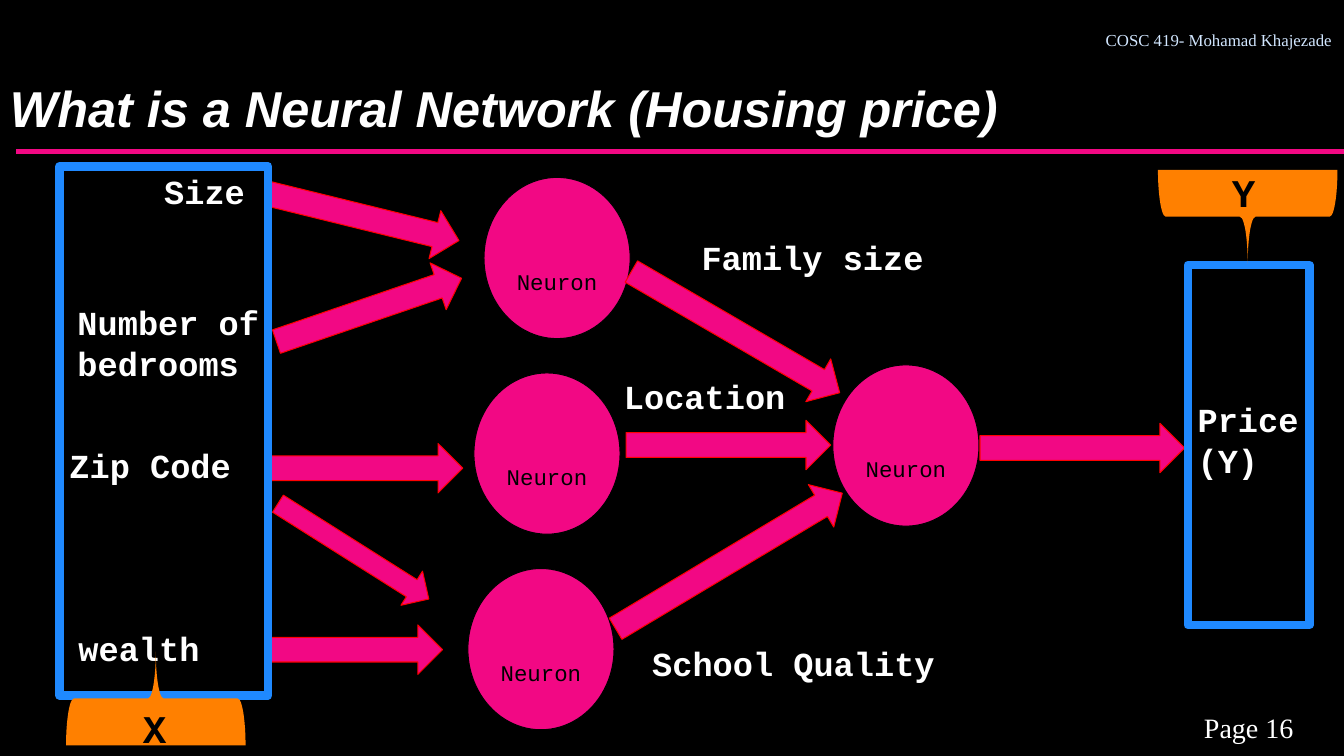
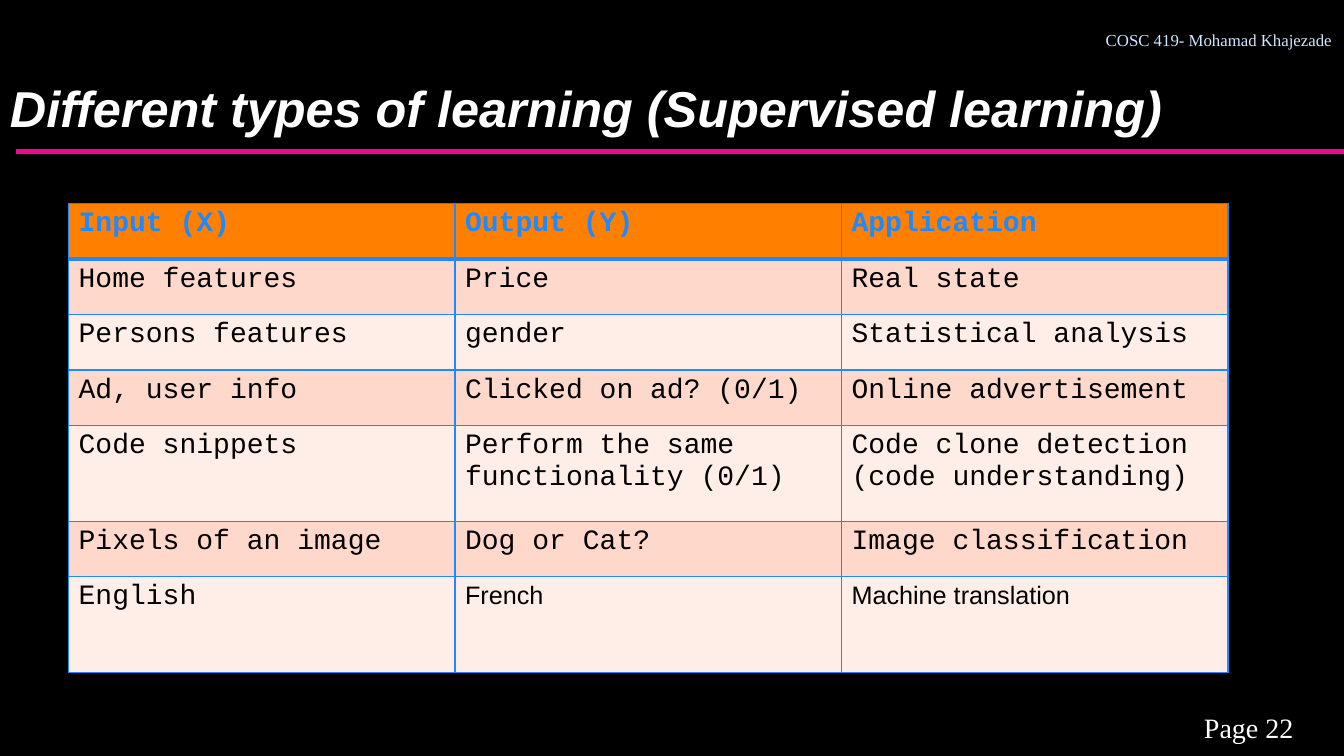
from dataclasses import dataclass

from lxml.etree import SubElement
from pptx import Presentation
from pptx.dml.color import RGBColor
from pptx.enum.shapes import MSO_CONNECTOR, MSO_SHAPE as Preset
from pptx.enum.text import MSO_ANCHOR as Anchor, PP_ALIGN as Align
from pptx.oxml.ns import qn
from pptx.util import Inches, Pt

COLORS = {
    "background": "000000",
    "pink": "F20884",
    "red": "FF0000",
    "blue": "1F89FF",
    "orange": "FF8000",
    "white": "FFFFFF",
    "black": "000000",
    "pale_blue": "D2E7FF",
    "band_dark": "FFD8CC",
    "band_light": "FFEDE7",
}
MONO, SANS, SERIF = "Courier New", "Arial", "Times New Roman"
WIDTH, HEIGHT = 13.33, 7.5


@dataclass(frozen=True)
class TextStyle:
    font: str
    size: float
    color: str
    bold: bool = False
    italic: bool = False


@dataclass(frozen=True)
class Box:
    left: float
    top: float
    width: float
    height: float

    def lengths(self) -> tuple:
        return tuple(Inches(v) for v in (self.left, self.top, self.width, self.height))


@dataclass(frozen=True)
class Label:
    text: str
    box: Box


@dataclass(frozen=True)
class Arrow:
    box: Box
    angle: float = 0


@dataclass(frozen=True)
class Brace:
    box: Box
    angle: float
    mark: Label


TITLE = TextStyle(SANS, 36, "white", bold=True, italic=True)
PAGE = TextStyle(SERIF, 20, "white")
COURSE = TextStyle(SERIF, 12, "pale_blue")
FEATURE = TextStyle(MONO, 24, "white", bold=True)
MARK = TextStyle(MONO, 28, "black", bold=True)
NEURON = TextStyle(MONO, 16, "black")
TABLE_HEAD = TextStyle(MONO, 20, "blue", bold=True)
TABLE_BODY = TextStyle(MONO, 20, "black")
TABLE_PLAIN = TextStyle(SANS, 18, "black")

LABELS = [
    Label("Size", Box(1.53, 1.65, 1.18, 0.5)),
    Label("Number of bedrooms", Box(0.67, 2.95, 2.49, 0.91)),
    Label("Zip Code", Box(0.59, 4.36, 2.49, 0.5)),
    Label("wealth", Box(0.68, 6.18, 2.49, 0.5)),
    Label("Family size", Box(6.86, 2.3, 2.82, 0.5)),
    Label("Location", Box(6.09, 3.68, 2.82, 0.5)),
    Label("School Quality", Box(6.37, 6.33, 3.32, 0.5)),
    Label("Price (Y)", Box(11.78, 3.91, 1.43, 0.91)),
]
NEURON_CORNERS = [(4.8, 1.76), (4.7, 3.7), (4.64, 5.64), (8.26, 3.62)]
ARROWS = [
    Arrow(Box(2.64, 1.91, 1.94, 0.49), 13.8),
    Arrow(Box(2.69, 2.83, 1.94, 0.49), 341.1),
    Arrow(Box(2.65, 4.4, 1.94, 0.49)),
    Arrow(Box(2.62, 5.27, 1.77, 0.4), 32.3),
    Arrow(Box(2.65, 6.2, 1.74, 0.49)),
    Arrow(Box(6.1, 3.05, 2.39, 0.49), 30.2),
    Arrow(Box(6.21, 4.17, 2.03, 0.49)),
    Arrow(Box(5.92, 5.32, 2.62, 0.49), 329.1),
    Arrow(Box(9.72, 4.2, 2.03, 0.49)),
]
FRAMES = [Box(0.59, 1.65, 2.07, 5.25), Box(11.78, 2.63, 1.21, 3.57)]
BRACES = [
    Brace(Box(11.91, 1.26, 0.93, 1.78), 270, Label("Y", Box(12.12, 1.62, 0.87, 0.57))),
    Brace(Box(1.08, 6.04, 0.93, 1.78), 90, Label("X", Box(1.32, 6.94, 0.87, 0.57))),
]
LEARNING_ROWS = [
    ("Input (X)", "Output (Y)", "Application"),
    ("Home features", "Price", "Real state"),
    ("Persons features", "gender", "Statistical analysis"),
    ("Ad, user info", "Clicked on ad? (0/1)", "Online advertisement"),
    ("Code snippets", "Perform the same functionality (0/1)",
     "Code clone detection (code understanding)"),
    ("Pixels of an image", "Dog or Cat?", "Image classification"),
    ("English", "French", "Machine translation"),
]
ROW_HEIGHTS = [0.55, 0.55, 0.55, 0.55, 0.95, 0.55, 0.95]


def rgb(name: str) -> RGBColor:
    return RGBColor.from_string(COLORS[name])


def write(frame, text: str, style: TextStyle, align=Align.LEFT):
    paragraph = frame.paragraphs[0]
    paragraph.text = text
    paragraph.alignment = align
    font = paragraph.font
    font.name, font.size = style.font, Pt(style.size)
    font.bold, font.italic = style.bold, style.italic
    font.color.rgb = rgb(style.color)
    return paragraph


def add_text(slide, label: Label, style: TextStyle, align=Align.LEFT, anchor=Anchor.TOP):
    frame = slide.shapes.add_textbox(*label.box.lengths()).text_frame
    frame.word_wrap = True
    frame.vertical_anchor = anchor
    return write(frame, label.text, style, align)


def add_preset(slide, preset, box: Box, fill: str = "", line: str = "",
               weight: float = 0.75, angle: float = 0):
    shape = slide.shapes.add_shape(preset, *box.lengths())
    shape.shadow.inherit = False
    shape.rotation = angle
    if fill:
        shape.fill.solid()
        shape.fill.fore_color.rgb = rgb(fill)
    else:
        shape.fill.background()
    if line:
        shape.line.color.rgb = rgb(line)
        shape.line.width = Pt(weight)
    else:
        shape.line.fill.background()
    return shape


def add_neuron(slide, left: float, top: float) -> None:
    neuron = add_preset(slide, Preset.OVAL, Box(left, top, 1.45, 1.6), "pink", "black")
    frame = neuron.text_frame
    frame.margin_left = frame.margin_right = frame.margin_bottom = 0
    frame.margin_top = Inches(0.46)
    frame.vertical_anchor = Anchor.MIDDLE
    write(frame, "Neuron", NEURON, Align.CENTER)


def add_brace(slide, brace: Brace) -> None:
    add_preset(slide, Preset.LEFT_BRACE, brace.box, "orange", angle=brace.angle)
    add_text(slide, brace.mark, MARK)


def new_slide(deck, title: str, page: int):
    slide = deck.slides.add_slide(deck.slide_layouts[6])
    slide.background.fill.solid()
    slide.background.fill.fore_color.rgb = rgb("background")
    rule = slide.shapes.add_connector(
        MSO_CONNECTOR.STRAIGHT, Inches(0.16), Inches(1.5), Inches(WIDTH), Inches(1.5))
    rule.line.color.rgb = rgb("pink")
    rule.line.width = Pt(3.75)
    SubElement(rule._element.spPr, qn("a:effectLst"))
    add_text(slide, Label(f"Page {page}", Box(11.44, 7, 1.89, 0.43)), PAGE,
             Align.CENTER, Anchor.MIDDLE)
    add_text(slide, Label("COSC 419- Mohamad Khajezade", Box(9.85, 0.2, 3.46, 0.4)),
             COURSE, Align.RIGHT, Anchor.MIDDLE)
    heading = add_text(slide, Label(title, Box(0, 0, WIDTH, 1.42)), TITLE,
                       anchor=Anchor.BOTTOM)
    heading.line_spacing = 0.89
    return slide


def set_borders(cell, top: float, bottom: float) -> None:
    properties = cell._tc.get_or_add_tcPr()
    for side, weight in (("L", 1), ("R", 1), ("T", top), ("B", bottom)):
        border = SubElement(properties, qn(f"a:ln{side}"), w=str(Pt(weight)))
        fill = SubElement(border, qn("a:solidFill"))
        SubElement(fill, qn("a:srgbClr"), val=COLORS["blue"])


def add_learning_table(slide, box: Box) -> None:
    last = len(LEARNING_ROWS) - 1
    table = slide.shapes.add_table(last + 1, 3, *box.lengths()).table
    table.horz_banding = False
    for column in table.columns:
        column.width = Inches(box.width / 3)
    for r, (entries, height) in enumerate(zip(LEARNING_ROWS, ROW_HEIGHTS)):
        table.rows[r].height = Inches(height)
        band = "orange" if r == 0 else "band_dark" if r % 2 else "band_light"
        for c, entry in enumerate(entries):
            style = TABLE_HEAD if r == 0 else TABLE_PLAIN if r == last and c else TABLE_BODY
            cell = table.cell(r, c)
            set_borders(cell, top=3 if r == 1 else 1, bottom=3 if r == 0 else 1)
            cell.fill.solid()
            cell.fill.fore_color.rgb = rgb(band)
            write(cell.text_frame, entry, style)


def build_network(deck) -> None:
    slide = new_slide(deck, "What is a Neural Network (Housing price)", 16)
    for label in LABELS:
        add_text(slide, label, FEATURE)
    for left, top in NEURON_CORNERS:
        add_neuron(slide, left, top)
    for arrow in ARROWS:
        add_preset(slide, Preset.RIGHT_ARROW, arrow.box, "pink", "red", angle=arrow.angle)
    for frame in FRAMES:
        add_preset(slide, Preset.RECTANGLE, frame, line="blue", weight=6)
    for brace in BRACES:
        add_brace(slide, brace)


def build_learning(deck) -> None:
    slide = new_slide(deck, "Different types of learning (Supervised learning)", 22)
    add_learning_table(slide, Box(0.68, 2.02, 11.5, sum(ROW_HEIGHTS)))


def main() -> None:
    deck = Presentation()
    deck.slide_width, deck.slide_height = Inches(WIDTH), Inches(HEIGHT)
    build_network(deck)
    build_learning(deck)
    deck.save("out.pptx")


if __name__ == "__main__":
    main()
